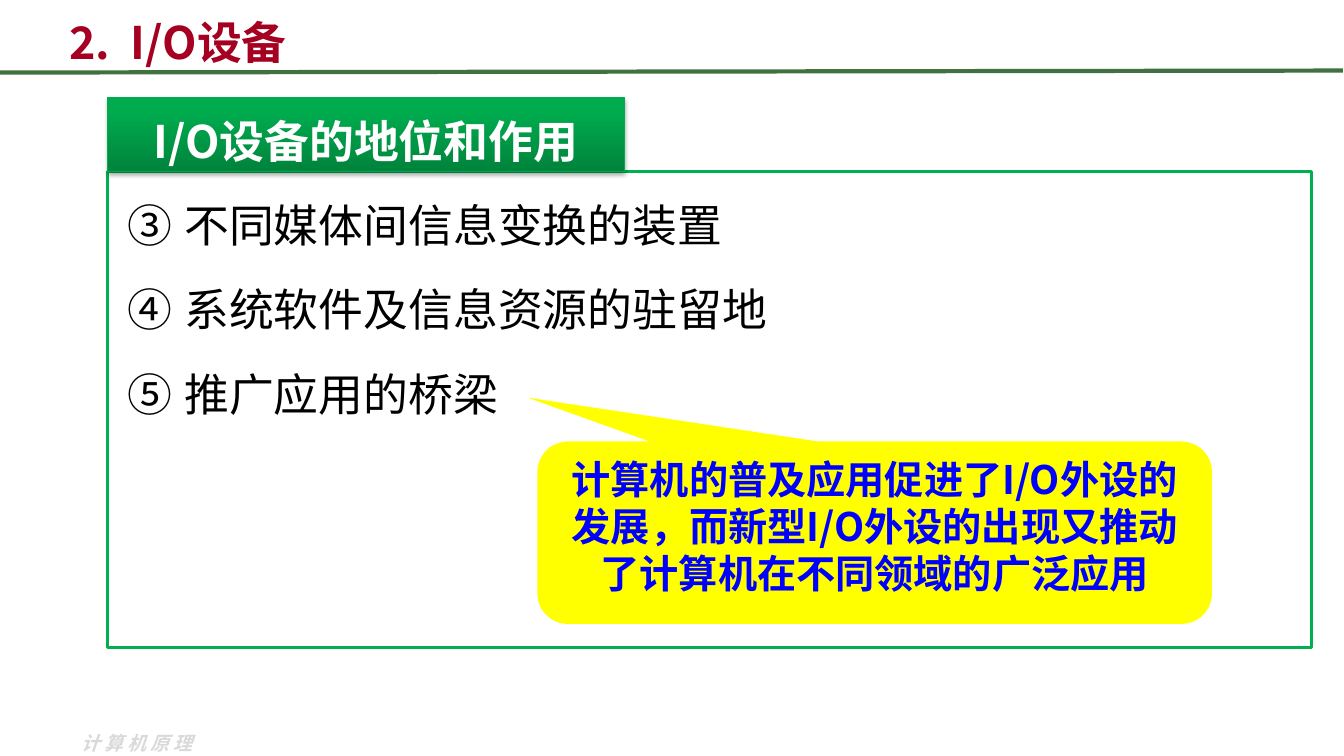
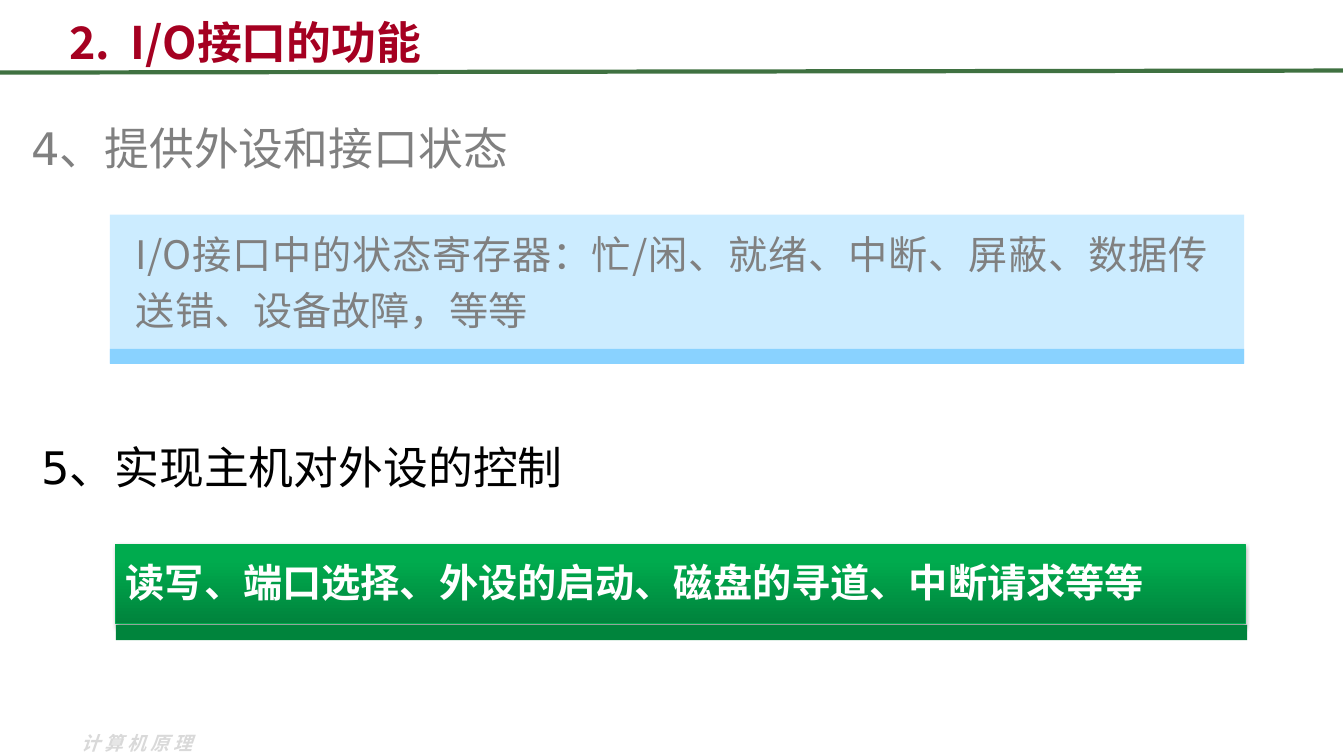
from lxml import etree
from pptx import Presentation
from pptx import util as u
from pptx.dml import color
from pptx.enum import shapes, text
from pptx.oxml import ns

SANS = "Noto Sans CJK SC"
BOLD = "Noto Sans CJK JP"
DEJA = "DejaVu Sans"
RED, RULE, GREEN, DARK = "A50021", "3F7141", "00B050", "00843C"
WHITE, BLACK, GREY, PALE = "FFFFFF", "000000", "808080", "D9D9D9"
SKY, BLUE, YELLOW, INK = "CCECFF", "89D2FF", "FFFF00", "0000FF"
LEFT, MID, FULL = text.PP_ALIGN.LEFT, text.PP_ALIGN.CENTER, text.PP_ALIGN.JUSTIFY
TOP, LOW = text.MSO_ANCHOR.TOP, text.MSO_ANCHOR.BOTTOM
RECT = shapes.MSO_SHAPE.RECTANGLE
CALL = shapes.MSO_SHAPE.ROUNDED_RECTANGULAR_CALLOUT


def rgb(code):
    return color.RGBColor.from_string(code)


def node(root, tag, **attrs):
    return etree.SubElement(root, ns.qn(tag), attrs)


class Deck:
    def __init__(self):
        self.show = Presentation()
        self.show.slide_width = u.Inches(13.33)
        self.show.slide_height = u.Inches(7.5)

    def page(self, title):
        self.slide = self.show.slides.add_slide(self.show.slide_layouts[6])
        self.label((0.71, 7.21, 1.46, 0.34), "计算机原理", 13.5, PALE,
                   bold=True, italic=True, track=3)
        self.rule(0, 0.72, 13.32, 0.7)
        self.label((0.59, 0.09, 11.63, 0.64), title, 32, RED, bold=True, anchor=LOW)

    def rule(self, x, y, right, low):
        ends = [u.Inches(n) for n in (x, y, right, low)]
        line = self.slide.shapes.add_connector(shapes.MSO_CONNECTOR.STRAIGHT, *ends)
        line.line.color.rgb = rgb(RULE)
        line.line.width = u.Pt(3)
        node(line._element.spPr, "a:effectLst")

    def label(self, box, words, size, ink, **style):
        shape = self.slide.shapes.add_textbox(*[u.Inches(n) for n in box])
        self.letter(shape, words, size, ink, **style)

    def shape(self, box, fill, edge=None, width=1, kind=RECT):
        shape = self.slide.shapes.add_shape(kind, *[u.Inches(n) for n in box])
        shape.shadow.inherit = False
        shape.fill.solid()
        shape.fill.fore_color.rgb = rgb(fill)
        if edge:
            shape.line.color.rgb = rgb(edge)
            shape.line.width = u.Pt(width)
        else:
            shape.line.fill.background()
        return shape

    def banner(self, box, words, size, align):
        shape = self.shape(box, GREEN, "00AC4E", 0.75)
        shape.fill.gradient()
        shape.fill.gradient_angle = 90
        for stop, (place, tone) in zip(shape.fill.gradient_stops,
                                       [(0, "00833C"), (0.8, "00AB4E")]):
            stop.position = place
            stop.color.rgb = rgb(tone)
        glow = shape._element.spPr.find(ns.qn("a:effectLst"))
        cast = node(glow, "a:outerShdw", blurRad=str(u.Pt(3.1)),
                    dist=str(u.Pt(1.8)), dir="5400000", rotWithShape="0")
        tint = node(cast, "a:srgbClr", val=BLACK)
        node(tint, "a:alpha", val="35000")
        self.letter(shape, words, size, WHITE, bold=True, align=align, lead=1.2)

    def letter(self, shape, words, size, ink, face=SANS, bold=False, italic=False,
               align=LEFT, anchor=TOP, lead=1, gap=0, start=None, track=0):
        frame = shape.text_frame
        frame.word_wrap = True
        frame.vertical_anchor = anchor
        frame.text = words
        for n, para in enumerate(frame.paragraphs):
            para.alignment = align
            para.line_spacing = lead
            if n and gap:
                para.space_before = u.Pt(gap)
            if start:
                props = para._p.get_or_add_pPr()
                props.set("marL", str(u.Inches(0.66)))
                props.set("indent", str(u.Inches(-0.56)))
                node(props, "a:buAutoNum", type="circleNumDbPlain", startAt=str(start))
            font = para.font
            font.name, font.size = face, u.Pt(size)
            font.bold, font.italic = bold, italic
            font.color.rgb = rgb(ink)
            base = para._p.pPr.find(ns.qn("a:defRPr"))
            node(base, "a:ea", typeface=face)
            if track:
                base.set("spc", str(track * 100))


def role(deck):
    deck.page("2.  I/O设备")
    panel = deck.shape((1.07, 1.7, 11.94, 4.72), WHITE, GREEN, 2)
    deck.letter(panel, "不同媒体间信息变换的装置\n系统软件及信息资源的驻留地\n推广应用的桥梁",
                32, BLACK, lead=1.4, gap=6.4, start=3)
    deck.banner((1.07, 0.97, 5.12, 0.73), "I/O设备的地位和作用", 32, MID)
    note = deck.shape((5.33, 4.38, 6.69, 1.81), YELLOW, kind=CALL)
    for n, value in enumerate((-0.515, -0.741, 0.167)):
        note.adjustments[n] = value
    deck.letter(note, "计算机的普及应用促进了I/O外设的发展，而新型I/O外设的出现又推动了计算机在不同领域的广泛应用",
                28, INK, face=BOLD, bold=True, align=MID)


def tasks(deck):
    deck.page("2.  I/O接口的功能")
    deck.label((0.21, 1.15, 11.94, 0.71), "4、提供外设和接口状态", 32, GREY, face=DEJA)
    deck.shape((1.09, 2.13, 11.25, 1.47), SKY)
    deck.shape((1.09, 3.46, 11.25, 0.15), BLUE)
    deck.label((1.25, 2.14, 10.83, 1.18),
               "I/O接口中的状态寄存器：忙/闲、就绪、中断、屏蔽、数据传送错、设备故障，等等",
               28, GREY, align=FULL, lead=1.2)
    deck.label((0.31, 3.99, 11.94, 0.83), "5、实现主机对外设的控制", 32, BLACK,
               face=DEJA, lead=1.6)
    deck.banner((1.15, 5.4, 11.2, 0.79),
                "读写、端口选择、外设的启动、磁盘的寻道、中断请求等等", 28, FULL)
    deck.shape((1.15, 6.2, 11.22, 0.15), DARK)


def main():
    deck = Deck()
    role(deck)
    tasks(deck)
    deck.show.save("out.pptx")


if __name__ == "__main__":
    main()
